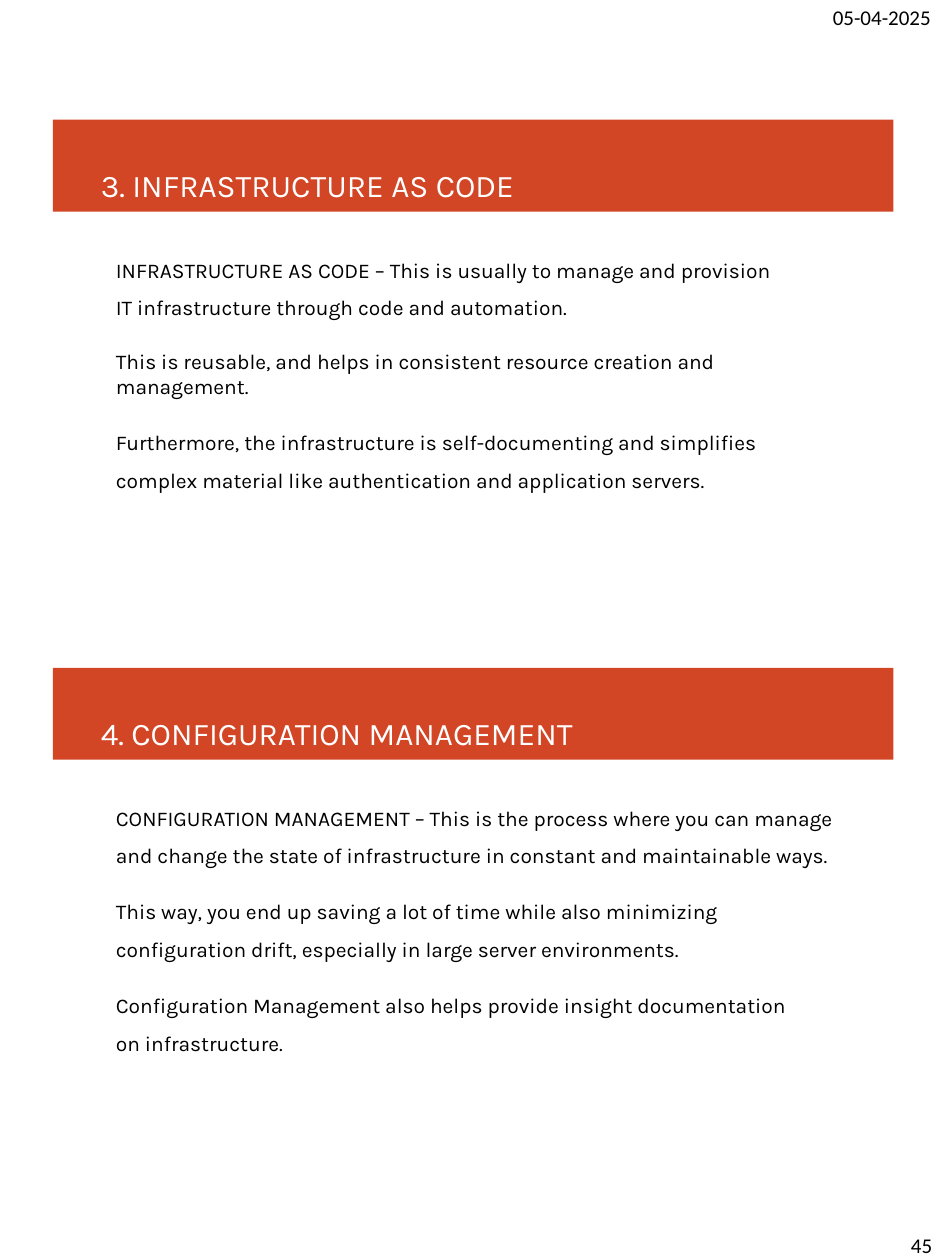
from dataclasses import dataclass

from lxml import etree
from pptx import Presentation
from pptx.dml.color import RGBColor
from pptx.enum import text as t
from pptx.oxml import ns
from pptx.util import Inches, Pt

COLORS = {"banner": "D24625", "heading": "FFFFFF", "text": "000000"}
BODY_FONT, FOOTER_FONT = "Karla", "Calibri"


@dataclass
class Paragraph:
    text: str
    line_spacing: float = 1.5
    space_before: float = 10.3
    right_indent: float = 0


@dataclass
class Section:
    heading: str
    paragraphs: list[Paragraph]
    top: float
    body_width: float
    body_height: float
    heading_idx: int
    body_idx: int


SECTIONS = [
    Section("3. INFRASTRUCTURE AS CODE", [
        Paragraph("INFRASTRUCTURE AS CODE – This is usually to manage and provision "
                  "IT infrastructure through code and automation.",
                  space_before=0, right_indent=0.25),
        Paragraph("This is reusable, and helps in consistent resource creation and "
                  "management.", line_spacing=1.0, space_before=16.2),
        Paragraph("Furthermore, the infrastructure is self-documenting and simplifies "
                  "complex material like authentication and application servers."),
    ], 0.95, 5.6, 1.82, heading_idx=0, body_idx=2),
    Section("4. CONFIGURATION MANAGEMENT", [
        Paragraph("CONFIGURATION MANAGEMENT – This is the process where you can manage "
                  "and change the state of infrastructure in constant and maintainable "
                  "ways.", space_before=0),
        Paragraph("This way, you end up saving a lot of time while also minimizing "
                  "configuration drift, especially in large server environments."),
        Paragraph("Configuration Management also helps provide insight documentation "
                  "on infrastructure.", right_indent=0.32),
    ], 5.3, 5.75, 2.12, heading_idx=3, body_idx=4),
]


def write(shape, paragraphs: list[Paragraph], *, size: float = 12, font: str = BODY_FONT,
          color: str = "text", left: float = 0.01, top: float = 0.02) -> None:
    """Fill a shape with left-aligned, unbulleted paragraphs."""
    frame = shape.text_frame
    frame.word_wrap = True
    frame.auto_size = t.MSO_AUTO_SIZE.NONE
    frame.vertical_anchor = t.MSO_ANCHOR.TOP
    frame.margin_left, frame.margin_top = Inches(left), Inches(top)
    frame.margin_right = frame.margin_bottom = 0
    for index, item in enumerate(paragraphs):
        paragraph = frame.add_paragraph() if index else frame.paragraphs[0]
        properties = paragraph._p.get_or_add_pPr()
        properties.set("marL", "0")
        properties.set("indent", "0")
        if item.right_indent:
            properties.set("marR", str(Inches(item.right_indent)))
        etree.SubElement(properties, ns.qn("a:buNone"))
        paragraph.alignment = t.PP_ALIGN.LEFT
        paragraph.line_spacing = item.line_spacing
        paragraph.space_before = Pt(item.space_before)
        run = paragraph.add_run()
        run.text = item.text
        run.font.name, run.font.size, run.font.bold = font, Pt(size), False
        run.font.color.rgb = RGBColor.from_string(COLORS[color])


def place(shape, left: float, top: float, width: float, height: float) -> None:
    shape.left, shape.top = Inches(left), Inches(top)
    shape.width, shape.height = Inches(width), Inches(height)


def draw_section(slide, section: Section) -> None:
    placeholders = {item.placeholder_format.idx: item for item in slide.placeholders}

    # Banner heading
    heading = placeholders[section.heading_idx]
    place(heading, 0.42, section.top, 6.67, 0.73)
    heading.fill.solid()
    heading.fill.fore_color.rgb = RGBColor.from_string(COLORS["banner"])
    write(heading, [Paragraph(section.heading, 1.0, 0)],
          size=18, color="heading", left=0.38, top=0.37)

    # Body text
    body = placeholders[section.body_idx]
    place(body, 0.91, section.top + 0.97, section.body_width, section.body_height)
    write(body, section.paragraphs)


def draw_label(slide, label: str, left: float, top: float, width: float,
               height: float, inset: float) -> None:
    box = slide.shapes.add_textbox(*map(Inches, (left, top, width, height)))
    write(box, [Paragraph(label, 1.0, 0)], font=FOOTER_FONT, left=inset, top=0.01)


def main() -> None:
    presentation = Presentation()
    presentation.slide_width, presentation.slide_height = Inches(7.5), Inches(10)
    comparison_layout = presentation.slide_layouts[4]
    slide = presentation.slides.add_slide(comparison_layout)

    for section in SECTIONS:
        draw_section(slide, section)

    # Page number and date
    draw_label(slide, "45", 7.19, 9.77, 0.27, 0.2, inset=0.04)
    draw_label(slide, "05-04-2025", 6.6, 0.03, 0.81, 0.23, inset=0.01)

    # Unused placeholders
    for placeholder in list(slide.placeholders):
        if not placeholder.text_frame.text:
            placeholder._element.getparent().remove(placeholder._element)

    presentation.save("out.pptx")


if __name__ == "__main__":
    main()
